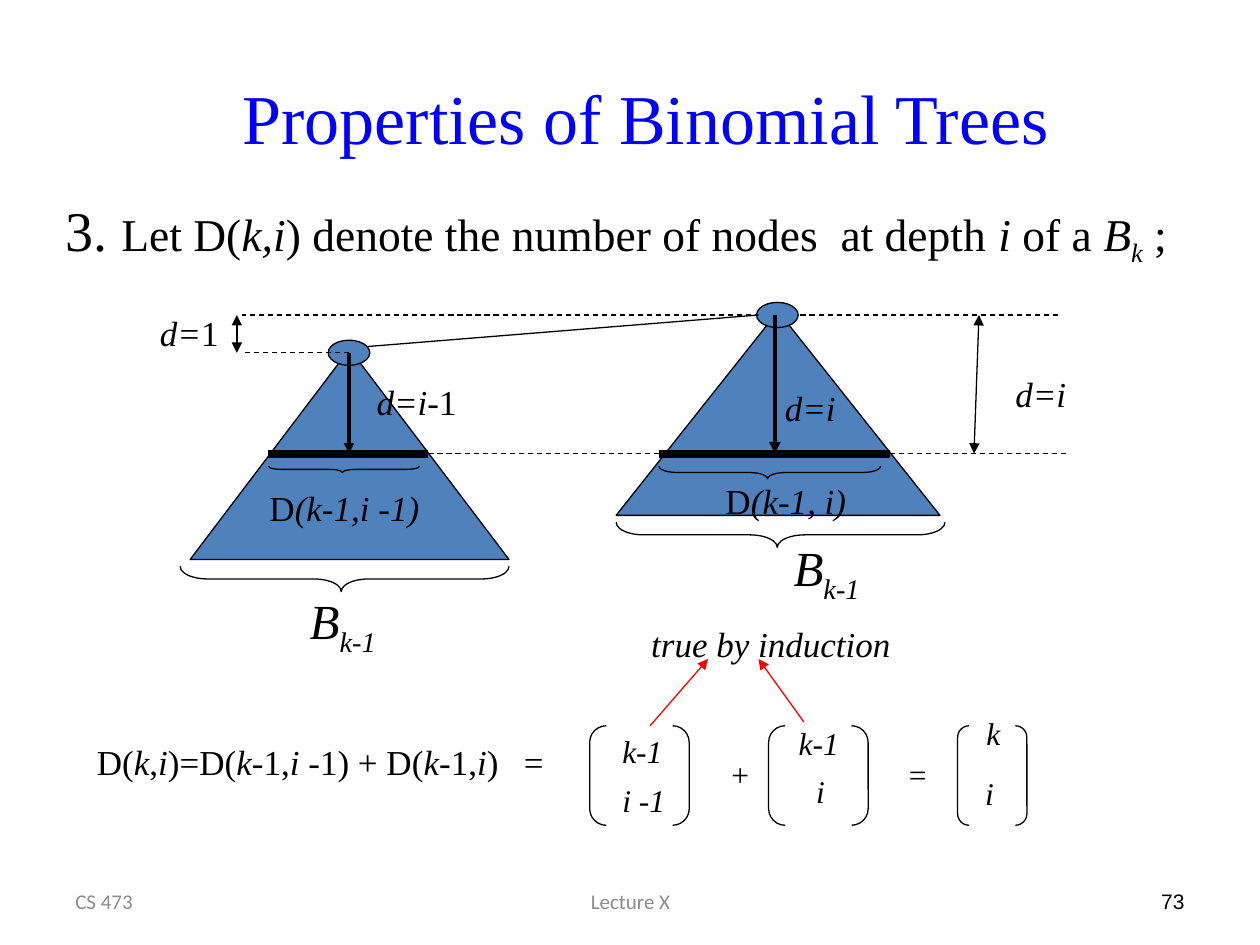
from pptx import Presentation
from pptx.dml.color import RGBColor
from pptx.enum.dml import MSO_LINE
from pptx.enum.shapes import MSO_CONNECTOR, MSO_SHAPE
from pptx.enum.text import MSO_ANCHOR, MSO_AUTO_SIZE, PP_ALIGN
from pptx.oxml.ns import qn
from pptx.util import Inches, Pt
from lxml.etree import SubElement

BLACK = RGBColor(0x00, 0x00, 0x00)
BLUE = RGBColor(0x00, 0x00, 0xFF)
RED = RGBColor(0xFF, 0x00, 0x00)
GREY = RGBColor(0x8C, 0x8C, 0x8C)
NODE_BLUE = RGBColor(0x4F, 0x81, 0xBD)
SERIF = "Times New Roman"
WIDTH, HEIGHT = Inches(10), Inches(7.5)
COLUMN, ROW = WIDTH / 10, HEIGHT / 7.5


def grid(left, top, width, height):
    """Turn columns and rows into slide lengths."""
    return int(left * COLUMN), int(top * ROW), int(width * COLUMN), int(height * ROW)


def style(run, size, font=SERIF, color=BLACK):
    """Set the face, size and colour of a run."""
    run.font.name, run.font.size = font, Pt(size)
    run.font.color.rgb = color


def write(paragraph, markup, size):
    """Add runs, with *italic* and ~subscript~ stretches."""
    for i, stretch in enumerate(markup.split("*")):
        for j, words in enumerate(stretch.split("~")):
            if words:
                run = paragraph.add_run()
                run.text = words
                style(run, size)
                run.font.italic = i % 2 == 1
                if j % 2:
                    run._r.get_or_add_rPr().set("baseline", "-25000")


def label(slide, box, markup, size=20, wrap=False):
    """Place a text box and return its paragraph."""
    frame = slide.shapes.add_textbox(*grid(*box)).text_frame
    frame.word_wrap = wrap
    if not wrap:
        frame.auto_size = MSO_AUTO_SIZE.SHAPE_TO_FIT_TEXT
    write(frame.paragraphs[0], markup, size)
    return frame.paragraphs[0]


def line(slide, start, end, weight=0.75, color=BLACK, dashed=False, ends=()):
    """Draw a straight line, with arrowheads at the named ends."""
    x1, y1, x2, y2 = grid(*start, *end)
    connector = slide.shapes.add_connector(MSO_CONNECTOR.STRAIGHT, x1, y1, x2, y2)
    connector.line.width = Pt(weight)
    connector.line.color.rgb = color
    if dashed:
        connector.line.dash_style = MSO_LINE.DASH
    properties = connector._element.spPr
    for end_name in ends:
        SubElement(properties.find(qn("a:ln")), qn(f"a:{end_name}"), type="triangle")
    SubElement(properties, qn("a:effectLst"))


def outline(slide, kind, box, fill=None):
    """Place a thinly outlined preset shape."""
    shape = slide.shapes.add_shape(kind, *grid(*box))
    shape.shadow.inherit = False
    shape.line.color.rgb, shape.line.width = BLACK, Pt(0.75)
    if fill is None:
        shape.fill.background()
    else:
        shape.fill.solid()
        shape.fill.fore_color.rgb = fill
    return shape


def under_brace(slide, left, top, width, depth, curl):
    """Draw a brace that opens upwards over the given box."""
    box = (left + (width - depth) / 2, top + (depth - width) / 2, depth, width)
    brace = outline(slide, MSO_SHAPE.LEFT_BRACE, box)
    brace.rotation = 270
    brace.adjustments[0], brace.adjustments[1] = curl, 0.49


def subtree(slide, box, level, level_span, brace_left, name_box):
    """Draw one binomial subtree with its marked level and its name."""
    left, top, width, height = box
    apex = left + width / 2
    outline(slide, MSO_SHAPE.ISOSCELES_TRIANGLE, box, NODE_BLUE)
    outline(slide, MSO_SHAPE.OVAL, (apex - 0.17, top - 0.07, 0.33, 0.2), NODE_BLUE)
    under_brace(slide, brace_left, top + height + 0.055, 2.61, 0.2, 1.088)
    label(slide, name_box, "*B~k-1~*", 28, wrap=True)
    first, last = level_span
    line(slide, (first, level), (last, level), 4.5)


def diagram(slide, left, top):
    """Draw the two linked subtrees and their depth measures."""
    child_top, level, right = top + 0.3, top + 1.1, left + 6.55
    left_span, right_span = (left + 0.21, left + 1.48), (left + 3.31, left + 5.14)
    left_root, right_root = left + 0.85, left + 4.23
    line(slide, (left + 6.48, top), (left, top), dashed=True)
    subtree(slide, (left - 0.41, child_top - 0.03, 2.53, 1.67), level, left_span,
            left - 0.49, (left + 0.44, top + 2.14, 0.85, 0.57))
    subtree(slide, (left + 2.97, top - 0.03, 2.57, 1.62), level, right_span,
            left + 2.97, (left + 4.28, top + 1.72, 0.84, 0.57))
    line(slide, (left + 1, top + 0.25), (left + 4.1, top))
    line(slide, (left_root, child_top), (left, child_top), dashed=True)
    line(slide, (left_span[1], level), (right_span[0], level), dashed=True)
    line(slide, (right_span[1], level), (right, level), dashed=True)
    both = ("headEnd", "tailEnd")
    line(slide, (left + 5.85, top), (left + 5.81, level), ends=both)
    line(slide, (left - 0.04, top), (left - 0.04, child_top), ends=both)
    line(slide, (left_root, child_top), (left_root, level), 2.25)
    line(slide, (left_root, child_top), (left_root, level), ends=["tailEnd"])
    line(slide, (right_root, top), (right_root, level), 2.25, ends=["tailEnd"])
    under_brace(slide, left_span[0], level + 0.1, 1.2, 0.05, 2.057)
    under_brace(slide, right_span[0], level + 0.1, 1.76, 0.1, 1.458)
    for dx, dy, width, words in (
        (-0.75, -0.08, 0.67, "*d=*1"),
        (6.04, 0.41, 0.61, "*d=i*"),
        (0.97, 0.47, 0.84, "*d=i-*1"),
        (4.21, 0.52, 0.61, "*d=i*"),
        (0.12, 1.31, 1.4, "D*(k-1,i -1)*"),
        (3.74, 1.26, 1.17, "D*(k-1, i)*"),
    ):
        label(slide, (left + dx, top + dy, width, 0.44), words)


def binomial(slide, box, upper, lower):
    """Draw a bracketed pair; each entry is text, left, top and width."""
    outline(slide, MSO_SHAPE.DOUBLE_BRACKET, box).adjustments[0] = 0.167
    for words, dx, dy, width in (upper, lower):
        label(slide, (box[0] + dx, box[1] + dy, width, 0.4), f"*{words}*", 18)


def equation(slide, left, top):
    """Write the recurrence and the induction remark above it."""
    label(slide, (left, top + 0.07, 3.5, 0.43),
          "D(*k*,*i*)=D(*k*-1,*i *-1) + D(*k*-1,*i*)", wrap=True)
    label(slide, (left + 3.39, top + 0.07, 0.36, 0.43), "=")
    binomial(slide, (left + 4.01, top, 0.79, 0.79),
             ("k-1", 0.16, 0, 0.52), ("i -1", 0.16, 0.39, 0.55))
    binomial(slide, (left + 5.43, top, 0.79, 0.79),
             ("k-1", 0.14, -0.06, 0.52), ("i", 0.28, 0.32, 0.27))
    binomial(slide, (left + 6.93, top, 0.55, 0.79),
             ("k", 0.13, -0.14, 0.31), ("i", 0.12, 0.33, 0.27))
    for sign, dx in (("+", 5.02), ("=", 6.43)):
        label(slide, (left + dx, top + 0.18, 0.37, 0.4), f"*{sign}*", 18)
    label(slide, (left + 4.4, top - 0.87, 2.4, 0.44), "*true by induction*", wrap=True)
    for start, end in (((4.49, 0), (4.95, -0.53)), ((5.71, -0.03), (5.35, -0.53))):
        line(slide, (left + start[0], top + start[1]), (left + end[0], top + end[1]),
             color=RED, ends=["tailEnd"])


def heading(slide, left, top):
    """Format the title and write the statement below it."""
    title = slide.shapes.title
    title.left, title.top, title.width, title.height = grid(left, top, 9.25, 1.25)
    title.text_frame.text = "Properties of Binomial Trees"
    title.text_frame.vertical_anchor = MSO_ANCHOR.MIDDLE
    paragraph = title.text_frame.paragraphs[0]
    paragraph.alignment = PP_ALIGN.CENTER
    style(paragraph.runs[0], 40, color=BLUE)
    statement = label(slide, (left - 0.08, top + 1.2, 9, 0.75), "3. ", 32, wrap=True)
    statement.space_before = Pt(6.4)
    write(statement, "Let D(*k,i*) denote the number of nodes  at depth *i *of a *B~k~* ;", 26)


def footer(slide, left, top):
    """Write the course, the lecture and the page number."""
    for dx, width, words, align, font, color in (
        (0, 2.33, "CS 473", PP_ALIGN.LEFT, "Calibri", GREY),
        (2.92, 3.17, "Lecture X", PP_ALIGN.CENTER, "Calibri", GREY),
        (6.67, 2.33, "73", PP_ALIGN.RIGHT, "Arial", BLACK),
    ):
        frame = slide.shapes.add_textbox(*grid(left + dx, top, width, 0.4)).text_frame
        frame.word_wrap, frame.vertical_anchor = True, MSO_ANCHOR.MIDDLE
        frame.text = words
        frame.paragraphs[0].alignment = align
        style(frame.paragraphs[0].runs[0], 12, font, color)


def main():
    """Build the slide and save it."""
    deck = Presentation()
    deck.slide_width, deck.slide_height = WIDTH, HEIGHT
    slide = deck.slides.add_slide(deck.slide_layouts[5])
    heading(slide, 0.5, 0.3)
    diagram(slide, 1.92, 2.5)
    equation(slide, 0.67, 5.76)
    footer(slide, 0.5, 6.95)
    deck.save("out.pptx")


if __name__ == "__main__":
    main()
